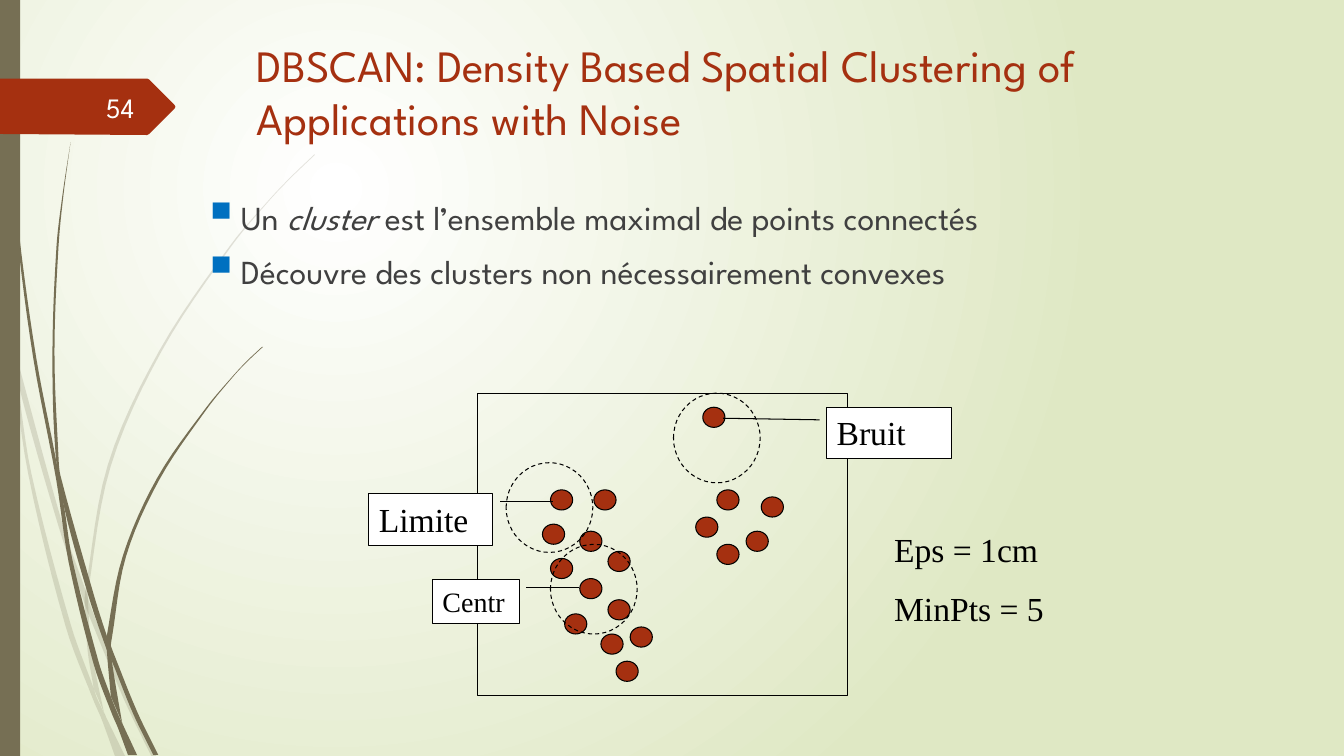
from math import dist

from lxml import etree
from pptx import Presentation
from pptx import util as u
from pptx.dml.color import RGBColor
from pptx.enum import dml, shapes, text
from pptx.oxml.ns import qn

RUST = RGBColor(0xA5, 0x30, 0x10)
OLIVE = RGBColor(0x76, 0x6F, 0x54)
PALE_GREEN = RGBColor(0xDF, 0xE8, 0xC4)
BLUE = RGBColor(0x00, 0x70, 0xC0)
GREY = RGBColor(0x40, 0x40, 0x40)
OFF_WHITE = RGBColor(0xFE, 0xFF, 0xFF)
WHITE = RGBColor(0xFF, 0xFF, 0xFF)
BLACK = RGBColor(0x00, 0x00, 0x00)
SANS, SERIF = "League Spartan", "Times New Roman"

# Each stem: one edge from tip to root, then the other edge back up
PALE_STEMS = [
    ([(0, 2.99), (.1, 3.44), (.11, 3.5), (.28, 4.7), (.65, 6.21), (.92, 6.93),
      (1.01, 7.14), (1.14, 7.5)],
     [(1.24, 7.5), (1.05, 7.11), (.96, 6.92), (.93, 6.83), (.7, 6.19),
      (.31, 4.69), (.17, 3.76), (.09, 3.22), (0, 2.82)]),
    ([(.14, 3.45), (.17, 3.76), (.58, 5.22), (.84, 5.99), (.88, 6.1),
      (1.23, 6.94), (1.5, 7.5)],
     [(1.55, 7.5), (1.27, 6.92), (.92, 6.07), (.88, 5.96), (.85, 5.86),
      (.62, 5.2), (.14, 3.45)]),
    ([(3.12, 1.53), (2.89, 1.75), (2.68, 1.97), (2.28, 2.44), (1.58, 3.48),
      (1.07, 4.61), (.85, 5.84), (.84, 5.99), (.87, 6.46), (.93, 6.83)],
     [(1.05, 7.11), (1.03, 7.06), (.91, 6.46), (.88, 6.1), (.88, 5.84),
      (1.1, 4.62), (1.6, 3.49), (2.29, 2.45), (2.68, 1.98), (2.9, 1.75),
      (3.12, 1.54)]),
]
DARK_STEMS = [
    ([(.03, 0), (.04, .48), (.07, 1.1), (.17, 2.33), (.33, 3.55), (.56, 4.77),
      (.68, 5.57), (.93, 6.59), (1.11, 7.08), (1.17, 7.22), (1.27, 7.49)],
     [(1.36, 7.49), (1.22, 7.19), (1.16, 7.06), (1.1, 6.91), (.98, 6.57),
      (.72, 5.56), (.64, 5.05), (.55, 4.53), (.36, 3.55), (.19, 2.32),
      (.08, 1.09), (.05, .48), (.04, 0)]),
    ([(.7, 1.41), (.62, 1.93), (.56, 2.45), (.52, 3.49), (.55, 4.49),
      (.64, 5.05), (.88, 5.92), (1.06, 6.45), (1.11, 6.56), (1.32, 7.08),
      (1.52, 7.49)],
     [(1.57, 7.49), (1.36, 7.06), (1.13, 6.49), (1.1, 6.41), (1.06, 6.31),
      (.93, 5.9), (.6, 4.72), (.58, 4.53), (.54, 3.49), (.58, 2.45),
      (.63, 1.93), (.7, 1.41)]),
    ([(2.6, 3.44), (2.45, 3.58), (2.31, 3.73), (2.04, 4.05), (1.56, 4.74),
      (1.22, 5.51), (1.06, 6.31), (1.06, 6.45), (1.1, 6.91)],
     [(1.22, 7.19), (1.21, 7.16), (1.11, 6.56), (1.1, 6.41), (1.11, 6.33),
      (1.25, 5.52), (1.58, 4.76), (2.05, 4.06), (2.31, 3.74), (2.45, 3.59),
      (2.61, 3.44)]),
]
PAGE_TAG = [(0, .78), (1.46, .78), (1.48, .79), (1.73, 1.04), (1.74, 1.06),
            (1.73, 1.08), (1.48, 1.33), (1.46, 1.34), (0, 1.33)]

POINT_SIZE = (.22, .2)
POINTS = [(5.46, 4.86), (5.38, 5.2), (5.75, 5.27), (5.89, 4.86), (6.03, 5.47),
          (5.46, 5.54), (5.75, 5.74), (5.6, 6.09), (5.96, 6.29), (6.11, 6.56),
          (6.03, 5.95), (6.97, 4.04), (7.11, 4.86), (6.9, 5.13), (7.4, 5.27),
          (7.55, 4.93), (7.11, 5.4), (6.25, 6.22)]
EPS_CIRCLES = [(5.02, 4.59), (5.46, 5.4), (6.68, 3.9)]
CALLOUTS = [
    ("Centr", 20, (4.29, 5.75, .86, .44), (.188, 1.083, .188, 1.688)),
    ("Limite", 24, (3.66, 4.9, 1.23, .51), (.145, 1.059, .145, 1.485)),
    ("Bruit", 24, (8.2, 4.04, 1.24, .51), (.245, -.058, .214, -.828)),
]


def smooth(nodes, steps=6):
    """Return points on a cubic Hermite curve through the nodes."""
    def slope(i):
        a, b = max(i - 1, 0), min(i + 1, len(nodes) - 1)
        length = sum(dist(nodes[k], nodes[k + 1]) for k in range(a, b))
        return [(q - p) / length for p, q in zip(nodes[a], nodes[b])]

    curve = [nodes[0]]
    for i, (start, end) in enumerate(zip(nodes, nodes[1:])):
        d = dist(start, end)
        for t in (k / steps for k in range(1, steps + 1)):
            h = 3 * t ** 2 - 2 * t ** 3
            curve.append(tuple(
                (1 - h) * p + h * q + d * t * (1 - t) * ((1 - t) * m - t * n)
                for p, q, m, n in zip(start, end, slope(i), slope(i + 1))))
    return curve


def write(sp, paragraphs, size, color, font=SANS, align=text.PP_ALIGN.LEFT,
          anchor=text.MSO_ANCHOR.TOP, before=None, bullet=None):
    """Fill a shape with paragraphs; words between asterisks are italic."""
    tf = sp.text_frame
    tf.word_wrap = True
    tf.vertical_anchor = anchor
    for i, line in enumerate(paragraphs):
        p = tf.add_paragraph() if i else tf.paragraphs[0]
        p.alignment = align
        if before is not None:
            p.space_before = u.Pt(before)
        if bullet:
            add_bullet(p, bullet)
        for k, part in enumerate(line.split("*")):
            r = p.add_run()
            r.text = part
            r.font.size = u.Pt(size)
            r.font.name = font
            r.font.color.rgb = color
            if k % 2:
                r.font.italic = True


def add_bullet(p, color):
    pPr = p._p.get_or_add_pPr()
    indent = u.Inches(.38)
    pPr.set("marL", str(indent))
    pPr.set("indent", str(-indent))
    clr = etree.SubElement(pPr, qn("a:buClr"))
    etree.SubElement(clr, qn("a:srgbClr"), val=str(color))
    etree.SubElement(pPr, qn("a:buSzPct"), val="150000")
    etree.SubElement(pPr, qn("a:buChar"), char="▪")


class Slide:
    def __init__(self, prs):
        self.s = prs.slides.add_slide(prs.slide_layouts[6])
        self.line_width = u.Pt(.75)

    def radial_background(self, inner, outer):
        fill = self.s.background.fill
        fill.gradient()
        for stop, color in zip(fill.gradient_stops, (inner, outer)):
            stop.color.rgb = color
        grad = self.s.element.find(".//" + qn("a:gradFill"))
        lin = grad.find(qn("a:lin"))
        circle = etree.Element(qn("a:path"), {"path": "circle"})
        etree.SubElement(circle, qn("a:fillToRect"),
                         l="50000", t="50000", r="100000", b="100000")
        grad.replace(lin, circle)

    def paint(self, sp, fill=None, line=None, dash=None, alpha=None):
        sp.shadow.inherit = False
        if fill is None:
            sp.fill.background()
        else:
            sp.fill.solid()
            sp.fill.fore_color.rgb = fill
        if alpha:
            clr = sp.element.spPr.find(".//" + qn("a:srgbClr"))
            etree.SubElement(clr, qn("a:alpha"), val=str(alpha * 1000))
        if line is None:
            sp.line.fill.background()
        else:
            sp.line.color.rgb = line
            sp.line.width = self.line_width
            sp.line.dash_style = dash
        return sp

    def shape(self, kind, box, **look):
        sp = self.s.shapes.add_shape(kind, *map(u.Inches, box))
        return self.paint(sp, **look)

    def outline(self, points, **look):
        start, *rest = [(u.Inches(x), u.Inches(y)) for x, y in points]
        builder = self.s.shapes.build_freeform(*start)
        builder.add_line_segments(rest)
        return self.paint(builder.convert_to_shape(), **look)

    def label(self, box, paragraphs, **fmt):
        write(self.s.shapes.add_textbox(*map(u.Inches, box)), paragraphs, **fmt)

    def callout(self, caption, size, box, leader):
        sp = self.shape(shapes.MSO_SHAPE.LINE_CALLOUT_1, box, fill=WHITE, line=BLACK)
        for i, value in enumerate(leader):
            sp.adjustments[i] = value
        write(sp, [caption], size=size, color=BLACK, font=SERIF)


def main():
    prs = Presentation()
    prs.slide_width, prs.slide_height = u.Inches(13.33), u.Inches(7.5)
    s = Slide(prs)
    rect, oval = shapes.MSO_SHAPE.RECTANGLE, shapes.MSO_SHAPE.OVAL

    s.radial_background(WHITE, PALE_GREEN)
    for stems, alpha in ((PALE_STEMS, 20), (DARK_STEMS, None)):
        for down, up in stems:
            s.outline(smooth(down) + smooth(up), fill=OLIVE, alpha=alpha)
    s.shape(rect, (0, 0, .2, 7.5), fill=OLIVE)
    s.outline(PAGE_TAG, fill=RUST)
    s.label((.58, .86, .85, .4), ["54"], size=20, color=OFF_WHITE,
            align=text.PP_ALIGN.RIGHT, anchor=text.MSO_ANCHOR.MIDDLE)
    s.label((2.45, .32, 9.58, 1.45),
            ["DBSCAN: Density Based Spatial Clustering of Applications with Noise"],
            size=32, color=RUST)
    s.label((1.91, 1.9, 9.08, 5.33),
            ["Un *cluster* est l’ensemble maximal de points connectés",
             "Découvre des clusters non nécessairement convexes"],
            size=24, color=GREY, before=10, bullet=BLUE)

    for point in POINTS:
        s.shape(oval, point + POINT_SIZE, fill=RUST, line=BLACK)
    s.shape(rect, (4.74, 3.9, 3.67, 3), line=BLACK)
    for corner in EPS_CIRCLES:
        s.shape(oval, corner + (.86, .89), line=BLACK, dash=dml.MSO_LINE.DASH)
    for callout in CALLOUTS:
        s.callout(*callout)
    s.label((8.77, 5.2, 1.8, 1.1), ["Eps = 1cm", "MinPts = 5"],
            size=24, color=BLACK, font=SERIF, before=13)
    prs.save("out.pptx")


if __name__ == "__main__":
    main()
